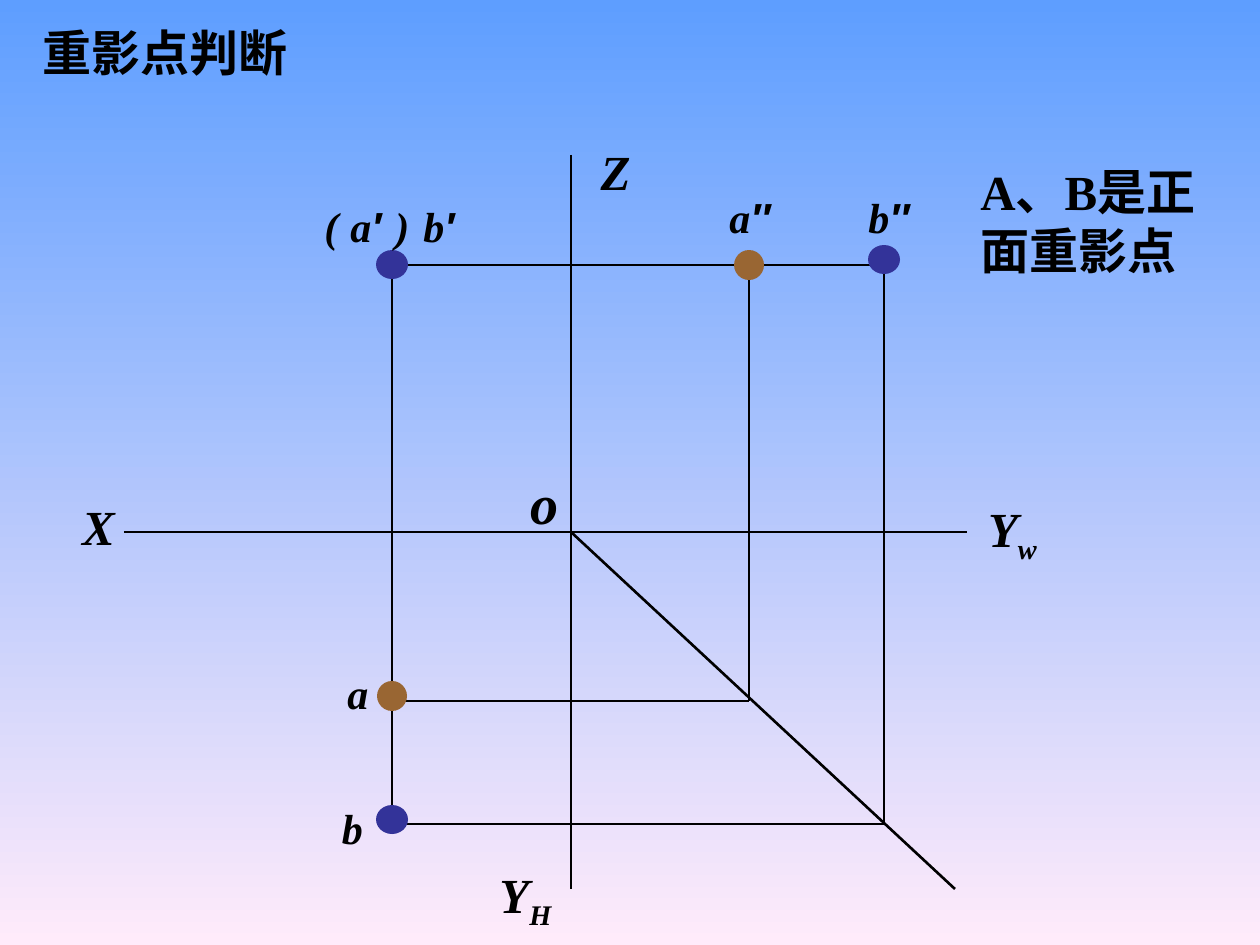
import pptx
import pptx.util
import pptx.dml.color
import pptx.enum.shapes
import pptx.enum.text
import lxml.etree

PX = 914400 / 126
BLACK = pptx.dml.color.RGBColor(0x00, 0x00, 0x00)
BROWN = pptx.dml.color.RGBColor(0x99, 0x66, 0x33)
INDIGO = pptx.dml.color.RGBColor(0x33, 0x33, 0x99)
SKY = pptx.dml.color.RGBColor(0x5E, 0x9E, 0xFF)
PINK = pptx.dml.color.RGBColor(0xFF, 0xEB, 0xFA)
SERIF = "Times New Roman"
PRIME_FONT = "Arial"

FRONT_X, A_SIDE_X, B_SIDE_X = 392, 749, 884
FRONT_Y, A_TOP_Y, B_TOP_Y = 265, 701, 824
ORIGIN_X, ORIGIN_Y = 571, 532


def px(*lengths):
    return [pptx.util.Emu(round(length * PX)) for length in lengths]


def paint_background(slide):
    fill = slide.background.fill
    fill.gradient()
    fill.gradient_angle = 270
    for stop, position, color in zip(fill.gradient_stops, (0, 1), (SKY, PINK)):
        stop.position = position
        stop.color.rgb = color


def add_line(slide, start, end, width=1.5):
    line = slide.shapes.add_connector(
        pptx.enum.shapes.MSO_CONNECTOR.STRAIGHT, *px(*start, *end))
    line.line.color.rgb = BLACK
    line.line.width = pptx.util.Pt(width)
    lxml.etree.SubElement(line._element.spPr, pptx.oxml.ns.qn("a:effectLst"))


def add_point(slide, left, top, width, height, color):
    point = slide.shapes.add_shape(
        pptx.enum.shapes.MSO_SHAPE.OVAL, *px(left, top, width, height))
    point.shadow.inherit = False
    point.fill.solid()
    point.fill.fore_color.rgb = color
    point.line.fill.background()


def add_text(slide, box, text, size=28, italic=True, wrap=True, centred=True):
    frame = slide.shapes.add_textbox(*px(*box)).text_frame
    frame.word_wrap = wrap
    frame.auto_size = pptx.enum.text.MSO_AUTO_SIZE.SHAPE_TO_FIT_TEXT
    paragraph = frame.paragraphs[0]
    if centred:
        paragraph.alignment = pptx.enum.text.PP_ALIGN.CENTER
    paragraph.font.size = pptx.util.Pt(size)
    paragraph.font.bold = True
    paragraph.font.italic = italic
    paragraph.font.color.rgb = BLACK
    paragraph.font.name = SERIF
    paragraph.add_run().text = text
    return frame


def add_axis_label(slide, box, letter, subscript):
    frame = add_text(slide, box, letter)
    run = frame.paragraphs[0].add_run()
    run.text = subscript
    run.font._element.set("baseline", "-25000")


def add_point_label(slide, left, top, width, letter, primes=""):
    frame = add_text(slide, (left, top, width, 63), letter, size=24, wrap=False)
    frame.vertical_anchor = pptx.enum.text.MSO_ANCHOR.MIDDLE
    if primes:
        run = frame.paragraphs[0].add_run()
        run.text = primes
        run.font.name = PRIME_FONT


def main():
    presentation = pptx.Presentation()
    presentation.slide_width, presentation.slide_height = px(1260, 945)
    slide = presentation.slides.add_slide(presentation.slide_layouts[6])
    paint_background(slide)

    add_text(slide, (30, 16, 1206, 72), "重影点判断", italic=False, centred=False)

    add_line(slide, (FRONT_X, A_TOP_Y), (A_SIDE_X, A_TOP_Y), 0.75)
    projection_lines = [
        ((FRONT_X, FRONT_Y), (B_SIDE_X, FRONT_Y)),
        ((FRONT_X, B_TOP_Y), (B_SIDE_X, B_TOP_Y)),
        ((FRONT_X, FRONT_Y), (FRONT_X, B_TOP_Y)),
        ((A_SIDE_X, FRONT_Y), (A_SIDE_X, A_TOP_Y)),
        ((B_SIDE_X, FRONT_Y), (B_SIDE_X, B_TOP_Y)),
    ]
    axes = [
        ((124, ORIGIN_Y), (967, ORIGIN_Y)),
        ((ORIGIN_X, 155), (ORIGIN_X, 889)),
        ((ORIGIN_X, ORIGIN_Y), (955, 889)),
    ]
    for start, end in projection_lines + axes:
        add_line(slide, start, end)

    for left, top in [(376, 250), (868, 245), (376, 805)]:
        add_point(slide, left, top, 32, 29, INDIGO)
    for left, top in [(734, 250), (377, 681)]:
        add_point(slide, left, top, 30, 30, BROWN)

    for left, top, letter in [(581, 135, "Z"), (64, 490, "X")]:
        add_text(slide, (left, top, 69, 72), letter)
    add_text(slide, (510, 462, 69, 81), "o", size=32)
    add_axis_label(slide, (968, 492, 89, 79), "Y", "w")
    add_axis_label(slide, (481, 858, 89, 79), "Y", "H")

    for label in [
        (312, 194, 39, "("),
        (336, 194, 60, "a", "′"),
        (383, 194, 39, ")"),
        (404, 194, 70, "b", "′"),
        (712, 185, 76, "a", "″"),
        (851, 185, 76, "b", "″"),
        (335, 661, 45, "a"),
        (323, 796, 59, "b"),
    ]:
        add_point_label(slide, *label)

    add_text(slide, (968, 155, 258, 189), "A、B是正面重影点",
             italic=False, centred=False)
    presentation.save("out.pptx")


if __name__ == "__main__":
    main()
